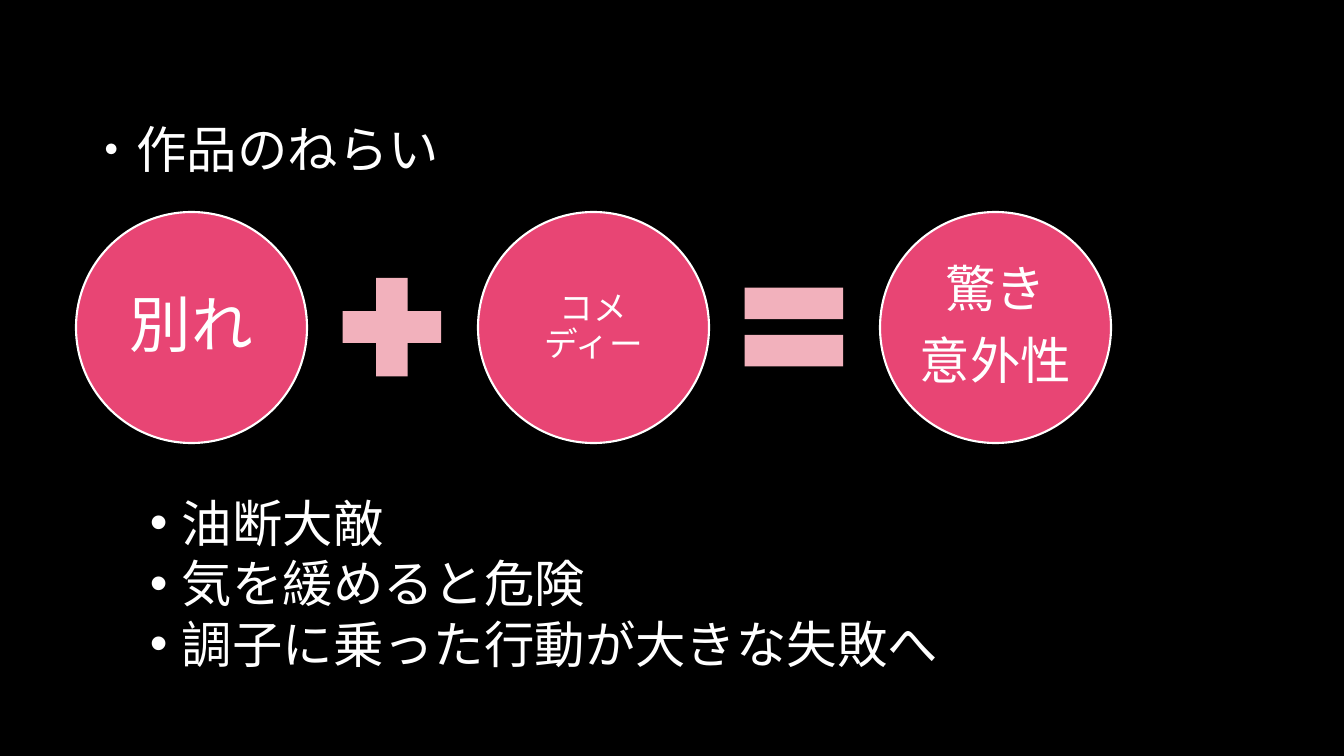
from lxml import etree
from pptx import Presentation
from pptx.dml.color import RGBColor
from pptx.enum.shapes import MSO_SHAPE
from pptx.enum.text import MSO_ANCHOR, MSO_AUTO_SIZE, PP_ALIGN
from pptx.oxml.ns import qn
from pptx.util import Pt

EMU_PER_PX = 914400 / 100.8
OVAL, PLUS, EQUAL = MSO_SHAPE.OVAL, MSO_SHAPE.MATH_PLUS, MSO_SHAPE.MATH_EQUAL
MIDDLE, TOP = MSO_ANCHOR.MIDDLE, MSO_ANCHOR.TOP
LEFT, CENTER = PP_ALIGN.LEFT, PP_ALIGN.CENTER
NO_FIT, GROW = MSO_AUTO_SIZE.NONE, MSO_AUTO_SIZE.SHAPE_TO_FIT_TEXT
TITLE_ONLY = 5

BLACK = RGBColor(0x00, 0x00, 0x00)
WHITE = RGBColor(0xFF, 0xFF, 0xFF)
PINK = RGBColor(0xE8, 0x45, 0x74)
PALE_PINK = RGBColor(0xF2, 0xB1, 0xBC)


def px(n):
    return round(n * EMU_PER_PX)


class Deck:
    font = "Calibri"

    def __init__(self, width, height):
        self.prs = Presentation()
        self.prs.slide_width, self.prs.slide_height = px(width), px(height)

    def add_slide(self):
        self.s = self.prs.slides.add_slide(self.prs.slide_layouts[TITLE_ONLY])
        fill = self.s.background.fill
        fill.solid()
        fill.fore_color.rgb = BLACK

    def add_run(self, p, text, size):
        r = p.add_run()
        r.text = text
        r.font.name, r.font.size = self.font, Pt(size)
        r.font.color.rgb = WHITE

    def paragraphs(self, tf, lines, size, align):
        """Write one paragraph per line and yield each for further formatting."""
        for i, line in enumerate(lines):
            p = tf.add_paragraph() if i else tf.paragraphs[0]
            p.alignment = align
            yield p
            self.add_run(p, line, size)

    def title(self, text, x, y, w, h, size):
        sp = self.s.shapes.title
        sp.left, sp.top, sp.width, sp.height = map(px, (x, y, w, h))
        tf = sp.text_frame
        tf.vertical_anchor, tf.auto_size = MIDDLE, NO_FIT
        for p in self.paragraphs(tf, [text], size, LEFT):
            p.space_before = Pt(0)

    def shape(self, kind, x, y, side, color):
        sp = self.s.shapes.add_shape(kind, px(x), px(y), px(side), px(side))
        sp.shadow.inherit = False
        sp.fill.solid()
        sp.fill.fore_color.rgb = color
        sp.line.fill.background()
        return sp

    def circle(self, x, y, side, lines, size, inset):
        sp = self.shape(OVAL, x, y, side, PINK)
        sp.line.color.rgb, sp.line.width = WHITE, Pt(1.5)
        tf = sp.text_frame
        tf.word_wrap, tf.vertical_anchor = True, MIDDLE
        tf.margin_left = tf.margin_right = px(inset)
        tf.margin_top = tf.margin_bottom = px(inset)
        for p in self.paragraphs(tf, lines, size, CENTER):
            p.line_spacing, p.space_after = 0.9, Pt(0.35 * size)

    def bullets(self, lines, x, y, w, h, size, indent):
        tf = self.s.shapes.add_textbox(px(x), px(y), px(w), px(h)).text_frame
        tf.word_wrap, tf.auto_size, tf.vertical_anchor = True, GROW, TOP
        for p in self.paragraphs(tf, lines, size, LEFT):
            pPr = p._p.get_or_add_pPr()
            pPr.set("marL", str(px(indent)))
            pPr.set("indent", str(-px(indent)))
            etree.SubElement(pPr, qn("a:buFont")).set("typeface", "Arial")
            etree.SubElement(pPr, qn("a:buChar")).set("char", "•")


def main():
    deck = Deck(1344, 756)
    deck.add_slide()
    deck.title("・作品のねらい", 76, 68, 1117, 160, 36)

    left, top, diameter, pitch, sign = 76, 212, 231, 402, 134
    terms = [(["別れ"], 44, 6), (["コメディー"], 24, 3), (["驚き", "意外性"], 36, 5)]
    for i, (lines, size, inset) in enumerate(terms):
        deck.circle(left + i * pitch, top, diameter, lines, size, inset)
    gap = (pitch - diameter - sign) // 2
    for i, kind in enumerate((PLUS, EQUAL)):
        x = left + i * pitch + diameter + gap
        deck.shape(kind, x, top + (diameter - sign) // 2, sign, PALE_PINK)

    deck.bullets(["油断大敵", "気を緩めると危険", "調子に乗った行動が大きな失敗へ"],
                 140, 487, 850, 194, 36, 32)
    deck.prs.save("out.pptx")


if __name__ == "__main__":
    main()
